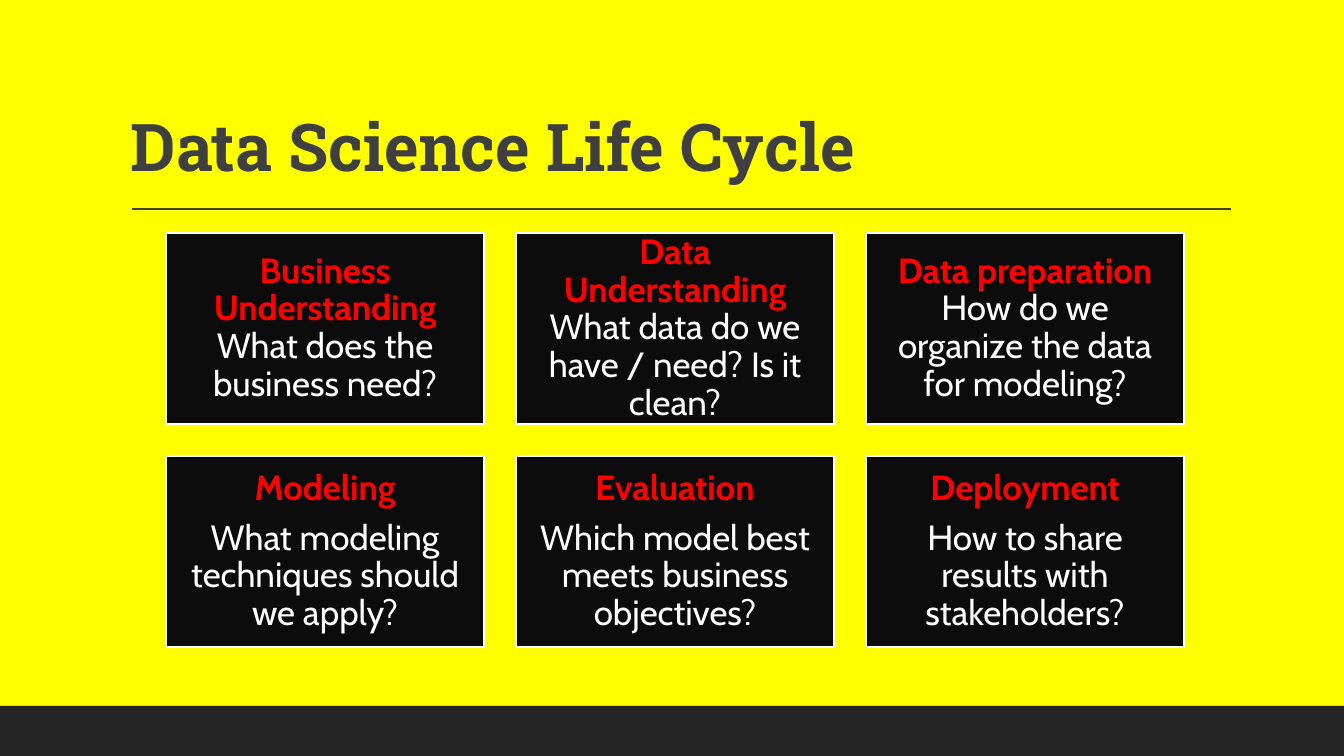
import pptx
import pptx.dml.color
import pptx.enum.shapes
import pptx.enum.text
import pptx.util
from lxml import etree

PX = 914400 / 100.8
SLIDE_W, SLIDE_H = 1344, 756
COLORS = {
    "background": "FFFF00", "footer": "262626", "title": "3F3F3F",
    "card": "0C0C0C", "stage": "FF0000", "white": "FFFFFF",
}
# Each stage: name, question
FIRST_ROW = [
    ("Business Understanding", "What does the business need?"),
    ("Data Understanding", "What data do we have / need? Is it clean?"),
    ("Data preparation", "How do we organize the data for modeling?"),
]
SECOND_ROW = [
    ("Modeling", "What modeling techniques should we apply?"),
    ("Evaluation", "Which model best meets business objectives?"),
    ("Deployment", "How to share results with stakeholders?"),
]


def px(length):
    return pptx.util.Emu(round(length * PX))


def color(name):
    return pptx.dml.color.RGBColor.from_string(COLORS[name])


def add_rect(slide, left, top, width, height, fill):
    rect = slide.shapes.add_shape(
        pptx.enum.shapes.MSO_SHAPE.RECTANGLE, px(left), px(top), px(width), px(height))
    rect.shadow.inherit = False
    rect.fill.solid()
    rect.fill.fore_color.rgb = color(fill)
    rect.line.fill.background()
    return rect


def add_title(slide, left, top, width, height):
    box = slide.shapes.add_textbox(px(left), px(top), px(width), px(height))
    frame = box.text_frame
    frame.word_wrap = True
    frame.vertical_anchor = pptx.enum.text.MSO_ANCHOR.BOTTOM
    heading = frame.paragraphs[0]
    heading.text = "Data Science Life Cycle"
    heading.line_spacing = 0.9
    heading.font.name = "Roboto Slab"
    heading.font.size = pptx.util.Pt(47)
    heading.font.bold = True
    heading.font.color.rgb = color("title")

    # Rule under the title
    rule_y = px(top + height + 18)
    rule = slide.shapes.add_connector(
        pptx.enum.shapes.MSO_CONNECTOR.STRAIGHT,
        px(left + 11), rule_y, px(left + width + 1), rule_y)
    rule.line.color.rgb = color("title")
    rule.line.width = pptx.util.Pt(1)
    etree.SubElement(rule._element.spPr, pptx.oxml.ns.qn("a:effectLst"))


def add_card(slide, left, top, width, height, stage, question, split):
    card = add_rect(slide, left, top, width, height, "card")
    card.line.color.rgb = color("white")
    card.line.width = pptx.util.Pt(2)
    frame = card.text_frame
    frame.word_wrap = True
    frame.vertical_anchor = pptx.enum.text.MSO_ANCHOR.MIDDLE
    frame.margin_left = frame.margin_right = px(10)
    frame.margin_top = frame.margin_bottom = px(10)

    # The question follows the stage name, or takes its own paragraph
    stage_line = question_line = frame.paragraphs[0]
    if split:
        question_line = frame.add_paragraph()
        question_line.space_before = pptx.util.Pt(8.8)
    stage_run = stage_line.add_run()
    stage_run.text = stage if split else stage + " "
    stage_run.font.bold = True
    stage_run.font.color.rgb = color("stage")
    question_run = question_line.add_run()
    question_run.text = question
    question_run.font.color.rgb = color("white")
    for line in frame.paragraphs:
        line.alignment = pptx.enum.text.PP_ALIGN.CENTER
        line.line_spacing = 0.9
        line.font.name = "Cabin"
        line.font.size = pptx.util.Pt(25)


def add_stages(slide, left, top, width, height):
    gap = 32
    card_w = (width - 2 * gap) // 3
    card_h = (height - gap) // 2
    for row, stages in enumerate((FIRST_ROW, SECOND_ROW)):
        for column, (stage, question) in enumerate(stages):
            add_card(slide, left + column * (card_w + gap), top + row * (card_h + gap),
                     card_w, card_h, stage, question, split=row == 1)


def main():
    deck = pptx.Presentation()
    deck.slide_width, deck.slide_height = px(SLIDE_W), px(SLIDE_H)
    slide = deck.slides.add_slide(deck.slide_layouts[6])
    slide.background.fill.solid()
    slide.background.fill.fore_color.rgb = color("background")

    add_rect(slide, 0, 706, SLIDE_W, 50, "footer")
    add_title(slide, 121, 31, 1109, 160)
    add_stages(slide, 166, 233, 1018, 414)
    deck.save("out.pptx")


if __name__ == "__main__":
    main()
